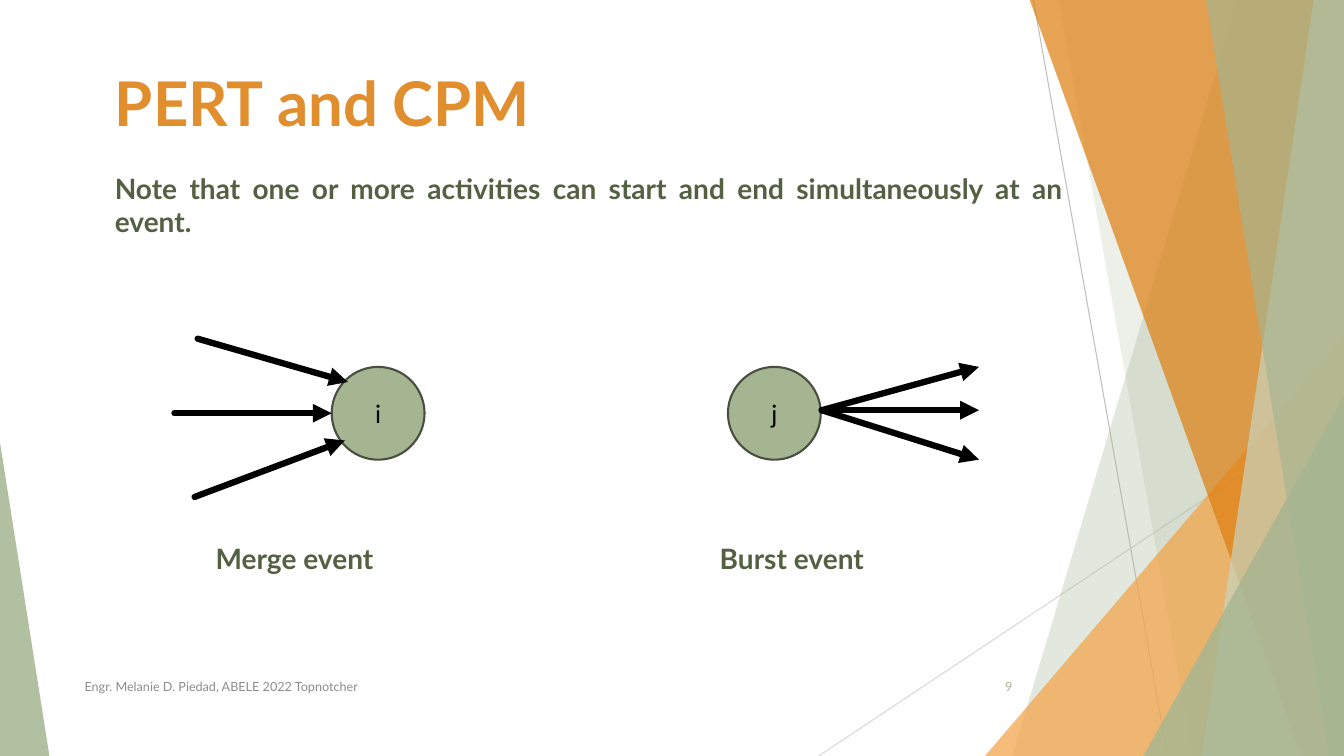
from lxml import etree
from pptx import Presentation
from pptx.dml.color import RGBColor
from pptx.enum.shapes import MSO_CONNECTOR, MSO_SHAPE
from pptx.enum.text import MSO_ANCHOR, PP_ALIGN
from pptx.oxml.ns import qn
from pptx.util import Inches, Pt

LINE = MSO_CONNECTOR.STRAIGHT
OVAL, WEDGE = MSO_SHAPE.OVAL, MSO_SHAPE.ISOSCELES_TRIANGLE
TOP, MIDDLE = MSO_ANCHOR.TOP, MSO_ANCHOR.MIDDLE
LEFT, CENTER, RIGHT, FULL = PP_ALIGN.LEFT, PP_ALIGN.CENTER, PP_ALIGN.RIGHT, PP_ALIGN.JUSTIFY

SAGE = RGBColor(0xA5, 0xB5, 0x92)
MIST = RGBColor(0xC9, 0xD3, 0xBE)
MOSS = RGBColor(0x53, 0x61, 0x42)
RIM = RGBColor(0x48, 0x4F, 0x40)
PEACH = RGBColor(0xF3, 0xA4, 0x47)
AMBER = RGBColor(0xDD, 0x7E, 0x0E)
ORANGE = RGBColor(0xE1, 0x8E, 0x2E)
GRAY = RGBColor(0x8C, 0x8C, 0x8C)
SILVER = RGBColor(0xBF, 0xBF, 0xBF)
PALE = RGBColor(0xD9, 0xD9, 0xD9)
BLACK = RGBColor(0, 0, 0)

WIDE, HIGH = 13.33, 7.5
NODE = 0.92

RULES = [((10.25, 0), (11.58, HIGH), SILVER), ((WIDE, 4.03), (8.12, HIGH), PALE)]
PANELS = [
    ("band", 12.28, 10.04, SAGE, 30),
    ("band", 10.5, 11.83, SAGE, 20),
    ("wedge", 9.77, 3.33, 3.56, 1, PEACH, 72),
    ("band", 10.21, 12.91, AMBER, 70),
    ("band", 13.03, 11.92, MIST, 70),
    ("band", 11.96, 13.18, SAGE, 65),
    ("wedge", 11.34, 3.93, 1.99, 1, SAGE, 80),
    ("wedge", 0, 4.39, 0.49, 0, SAGE, 85),
]
TITLE = "PERT and CPM"
HEAD = {"size": Pt(44), "bold": True}
BODY = {"size": Pt(20), "bold": True}
SMALL = {"size": Pt(9)}
TEXTS = [
    ("Note that one or more activities can start and end simultaneously at an event.",
     (1.04, 1.65, 9.6, 0.77), BODY, MOSS, FULL, TOP),
    ("Merge event", (2.04, 5.32, 2.5, 0.43), BODY, MOSS, LEFT, TOP),
    ("Burst event", (7.04, 5.32, 2.5, 0.43), BODY, MOSS, LEFT, TOP),
    ("Engr. Melanie D. Piedad, ABELE 2022 Topnotcher",
     (0.74, 6.61, 6.89, 0.4), SMALL, GRAY, LEFT, MIDDLE),
    ("9", (9.39, 6.61, 0.75, 0.4), SMALL, SAGE, RIGHT, MIDDLE),
]
NODES = [("i", 3.29, 3.64), ("j", 7.22, 3.64)]
MERGE = [((1.73, 4.1), (3.29, 4.1)), ((1.93, 4.93), (3.42, 4.37)), ((1.96, 3.36), (3.45, 3.79))]
BURST = [((8.15, 4.07), (9.71, y)) for y in (4.07, 3.64, 4.56)]


def write(shape, text, style, color, align, anchor):
    """Put formatted text in a shape."""
    frame = shape.text_frame
    frame.word_wrap = True
    frame.vertical_anchor = anchor
    para = frame.paragraphs[0]
    para.text = text
    para.alignment = align
    font = para.runs[0].font
    for key, value in {"name": "Lato", **style}.items():
        setattr(font, key, value)
    font.color.rgb = color


def link(shapes, start, end, color, width, arrow=False):
    """Draw a straight line, with an arrowhead if asked."""
    wire = shapes.add_connector(LINE, *map(Inches, start + end))
    wire.line.color.rgb = color
    wire.line.width = Pt(width)
    props = wire.element.spPr
    etree.SubElement(props, qn("a:effectLst"))
    if arrow:
        edge = props.find(qn("a:ln"))
        edge.set("cap", "rnd")
        etree.SubElement(edge, qn("a:round"))
        etree.SubElement(edge, qn("a:tailEnd"), type="triangle")


def tint(shape, color, alpha):
    """Give a shape a see-through fill and no outline."""
    shape.shadow.inherit = False
    shape.fill.solid()
    shape.fill.fore_color.rgb = color
    shape.line.fill.background()
    tone = shape.element.spPr.find(qn("a:solidFill"))[0]
    etree.SubElement(tone, qn("a:alpha"), val=str(alpha * 1000))


def band(shapes, top, foot):
    """Build a slanted panel that reaches the right edge."""
    pen = shapes.build_freeform(Inches(top), Inches(-0.01), scale=1.0)
    rest = [(WIDE, -0.01), (WIDE, HIGH), (foot, HIGH)]
    pen.add_line_segments([(Inches(x), Inches(y)) for x, y in rest], close=True)
    return pen.convert_to_shape()


def wedge(shapes, left, top, width, peak):
    """Add a triangle that stands on the bottom edge."""
    box = map(Inches, (left, top, width, HIGH - top))
    shape = shapes.add_shape(WEDGE, *box)
    shape.adjustments[0] = peak
    return shape


def main():
    """Build and save the slide."""
    deck = Presentation()
    deck.slide_width, deck.slide_height = Inches(WIDE), Inches(HIGH)
    slide = deck.slides.add_slide(deck.slide_layouts[5])
    shapes = slide.shapes

    for start, end, color in RULES:
        link(shapes, start, end, color, 0.75)
    makers = {"band": band, "wedge": wedge}
    for kind, *place, color, alpha in PANELS:
        tint(makers[kind](shapes, *place), color, alpha)

    title = shapes.title
    title.left, title.top, title.width, title.height = map(Inches, (1.04, 0.59, 9.1, 0.85))
    write(title, TITLE, HEAD, ORANGE, LEFT, TOP)
    for text, box, *look in TEXTS:
        write(shapes.add_textbox(*map(Inches, box)), text, *look)

    for text, left, top in NODES:
        node = shapes.add_shape(OVAL, *map(Inches, (left, top, NODE, NODE)))
        node.shadow.inherit = False
        node.fill.solid()
        node.fill.fore_color.rgb = SAGE
        node.line.color.rgb = RIM
        node.line.width = Pt(1.5)
        write(node, text, {"size": Pt(18)}, BLACK, CENTER, MIDDLE)
    for start, end in MERGE + BURST:
        link(shapes, start, end, BLACK, 4.5, arrow=True)

    deck.save("out.pptx")


if __name__ == "__main__":
    main()
